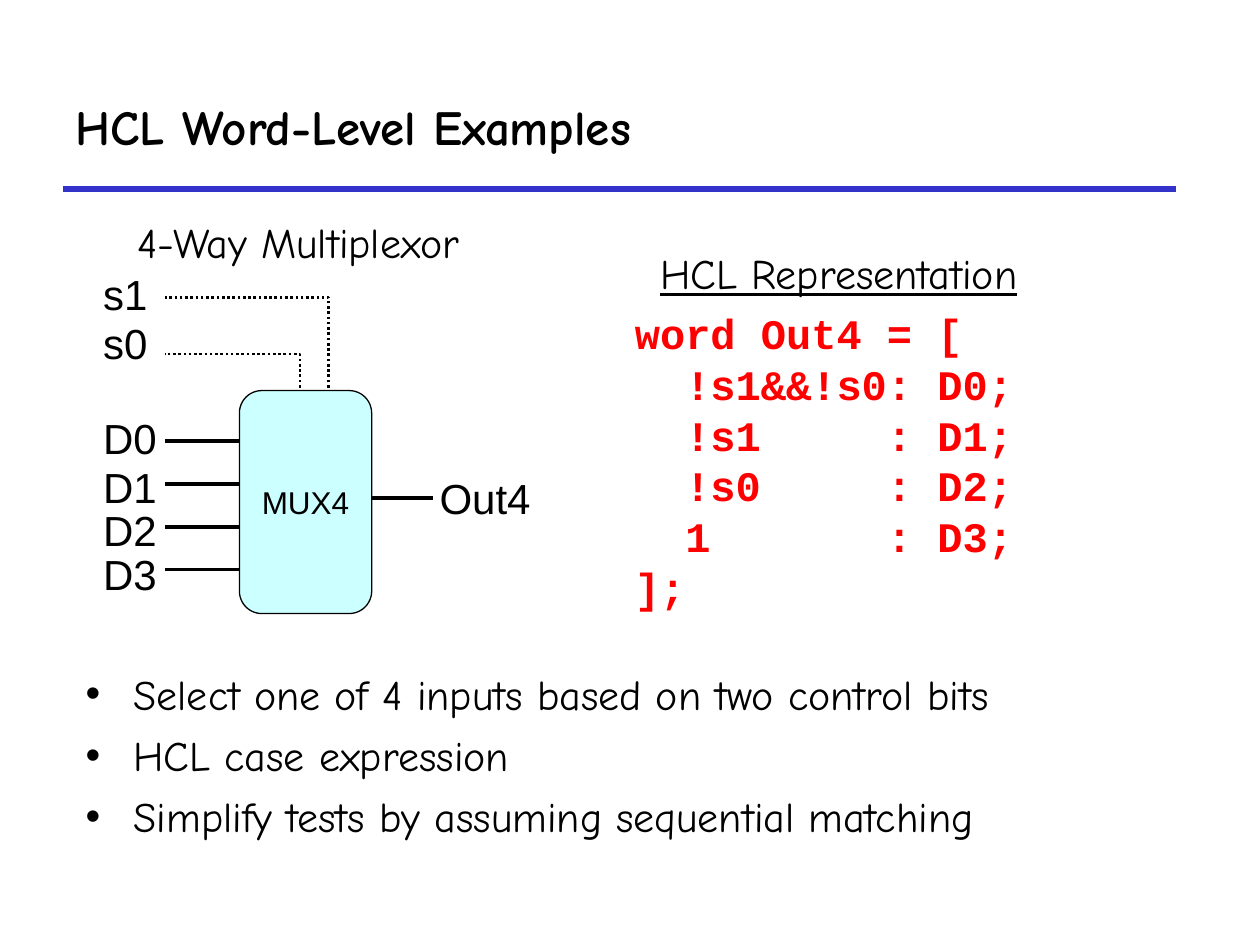
from lxml import etree
from pptx import Presentation
from pptx.dml.color import RGBColor
from pptx.enum.dml import MSO_LINE
from pptx.enum.shapes import MSO_CONNECTOR, MSO_SHAPE
from pptx.enum.text import MSO_ANCHOR, MSO_AUTO_SIZE, PP_ALIGN
from pptx.oxml.ns import qn
from pptx.util import Inches, Pt

STRAIGHT = MSO_CONNECTOR.STRAIGHT
ROUNDED = MSO_SHAPE.ROUNDED_RECTANGLE
DOTTED = MSO_LINE.ROUND_DOT
TOP, MIDDLE = MSO_ANCHOR.TOP, MSO_ANCHOR.MIDDLE
LEFT, CENTER = PP_ALIGN.LEFT, PP_ALIGN.CENTER
NO_FIT = MSO_AUTO_SIZE.NONE

COLORS = {"ink": "000000", "rule": "3333CC", "mux": "CCFFFF", "code": "FF0000"}
SANS, COMIC, MONO = "Arial", "Comic Neue", "Courier New"

CODE = [
    "word Out4 = [",
    "  !s1&&!s0: D0;",
    "  !s1     : D1;",
    "  !s0     : D2;",
    "  1       : D3;",
    "];",
]
POINTS = [
    "Select one of 4 inputs based on two control bits",
    "HCL case expression",
    "Simplify tests by assuming sequential matching",
]

WIRE_START, MUX_LEFT, MUX_TOP, MUX_RIGHT = 1.31, 1.9, 3.1, 2.95
LABEL_LEFT = 0.72


def color(name):
    return RGBColor.from_string(COLORS[name])


def add_bullet(paragraph):
    properties = paragraph._p.get_or_add_pPr()
    properties.set("marL", str(Inches(0.38)))
    properties.set("indent", str(-Inches(0.38)))
    etree.SubElement(properties, qn("a:buChar")).set("char", "•")


def write_text(shape, lines, size=24, font=SANS, ink="ink", bold=False,
               underline=False, align=LEFT, anchor=TOP, wrap=False,
               side=0.1, line_height=29, gap=0, bullets=False):
    frame = shape.text_frame
    frame.auto_size = NO_FIT
    frame.word_wrap = wrap
    frame.vertical_anchor = anchor
    frame.margin_left = frame.margin_right = Inches(side)
    frame.margin_top = frame.margin_bottom = Inches(0.05)
    for index, line in enumerate(lines):
        paragraph = frame.add_paragraph() if index else frame.paragraphs[0]
        if bullets:
            add_bullet(paragraph)
        paragraph.alignment = align
        paragraph.space_before = Pt(gap if index else 0)
        if line_height:
            paragraph.line_spacing = Pt(line_height)
        run = paragraph.add_run()
        run.text = line
        run.font.name = font
        run.font.size = Pt(size)
        run.font.bold = bold
        run.font.underline = underline
        run.font.color.rgb = color(ink)


def place(shape, left, top, width, height):
    shape.left, shape.top = Inches(left), Inches(top)
    shape.width, shape.height = Inches(width), Inches(height)


def add_label(slide, lines, left, top, width, height=0.51, **style):
    box = slide.shapes.add_textbox(
        Inches(left), Inches(top), Inches(width), Inches(height))
    write_text(box, lines, **style)


def add_wire(slide, start, end, y, ink="ink", weight=2.25):
    wire = slide.shapes.add_connector(
        STRAIGHT, Inches(start), Inches(y), Inches(end), Inches(y))
    wire.line.color.rgb = color(ink)
    wire.line.width = Pt(weight)
    etree.SubElement(wire._element.spPr, qn("a:effectLst"))


def add_control(slide, x, y):
    bottom = 3.16
    builder = slide.shapes.build_freeform(Inches(x), Inches(bottom))
    builder.add_line_segments(
        [(Inches(x), Inches(y)), (Inches(WIRE_START), Inches(y))], close=False)
    control = builder.convert_to_shape()
    control.shadow.inherit = False
    control.fill.background()
    control.line.color.rgb = color("ink")
    control.line.width = Pt(1.5)
    control.line.dash_style = DOTTED


def add_mux(slide):
    mux = slide.shapes.add_shape(
        ROUNDED, Inches(MUX_LEFT), Inches(MUX_TOP),
        Inches(MUX_RIGHT - MUX_LEFT), Inches(1.77))
    mux.adjustments[0] = 0.17
    mux.shadow.inherit = False
    mux.fill.solid()
    mux.fill.fore_color.rgb = color("mux")
    mux.line.color.rgb = color("ink")
    mux.line.width = Pt(0.75)
    write_text(mux, ["MUX4"], size=18, align=CENTER, anchor=MIDDLE,
               line_height=None)


def add_diagram(slide):
    for name, label_top, x, y in (("s1", 2.08, 2.61, 2.36),
                                  ("s0", 2.47, 2.38, 2.81)):
        add_label(slide, [name], LABEL_LEFT, label_top, 0.56)
        add_control(slide, x, y)
    for index, label_top in enumerate((3.22, 3.61, 3.95, 4.3)):
        add_label(slide, [f"D{index}"], LABEL_LEFT, label_top, 0.64)
        add_wire(slide, WIRE_START, MUX_LEFT, 3.5 + 0.34 * index)
    add_wire(slide, 2.85, 3.44, 3.95)
    add_label(slide, ["Out4"], 3.39, 3.7, 0.93)
    add_mux(slide)


def main():
    deck = Presentation()
    deck.slide_width, deck.slide_height = Inches(10), Inches(7.5)
    slide = deck.slides.add_slide(deck.slide_layouts[1])
    title, points = slide.placeholders

    add_wire(slide, 0.5, 9.33, 1.5, ink="rule", weight=3)
    place(title, 0.5, 0.5, 8.83, 1)
    write_text(title, ["HCL Word-Level Examples"], size=28, font=COMIC,
               bold=True, anchor=MIDDLE, wrap=True, line_height=None)
    place(points, 0.58, 5.25, 8.58, 1.58)
    write_text(points, POINTS, font=COMIC, wrap=True, gap=6, bullets=True)

    add_diagram(slide)
    add_label(slide, CODE, 4.94, 2.39, 3.21, 2.51,
              font=MONO, ink="code", bold=True)
    add_label(slide, ["4-Way Multiplexor"], 1.04, 1.67, 2.7,
              font=COMIC, side=0.05)
    add_label(slide, ["HCL Representation"], 5.19, 1.91, 2.96,
              font=COMIC, side=0.05, underline=True)
    deck.save("out.pptx")


if __name__ == "__main__":
    main()
